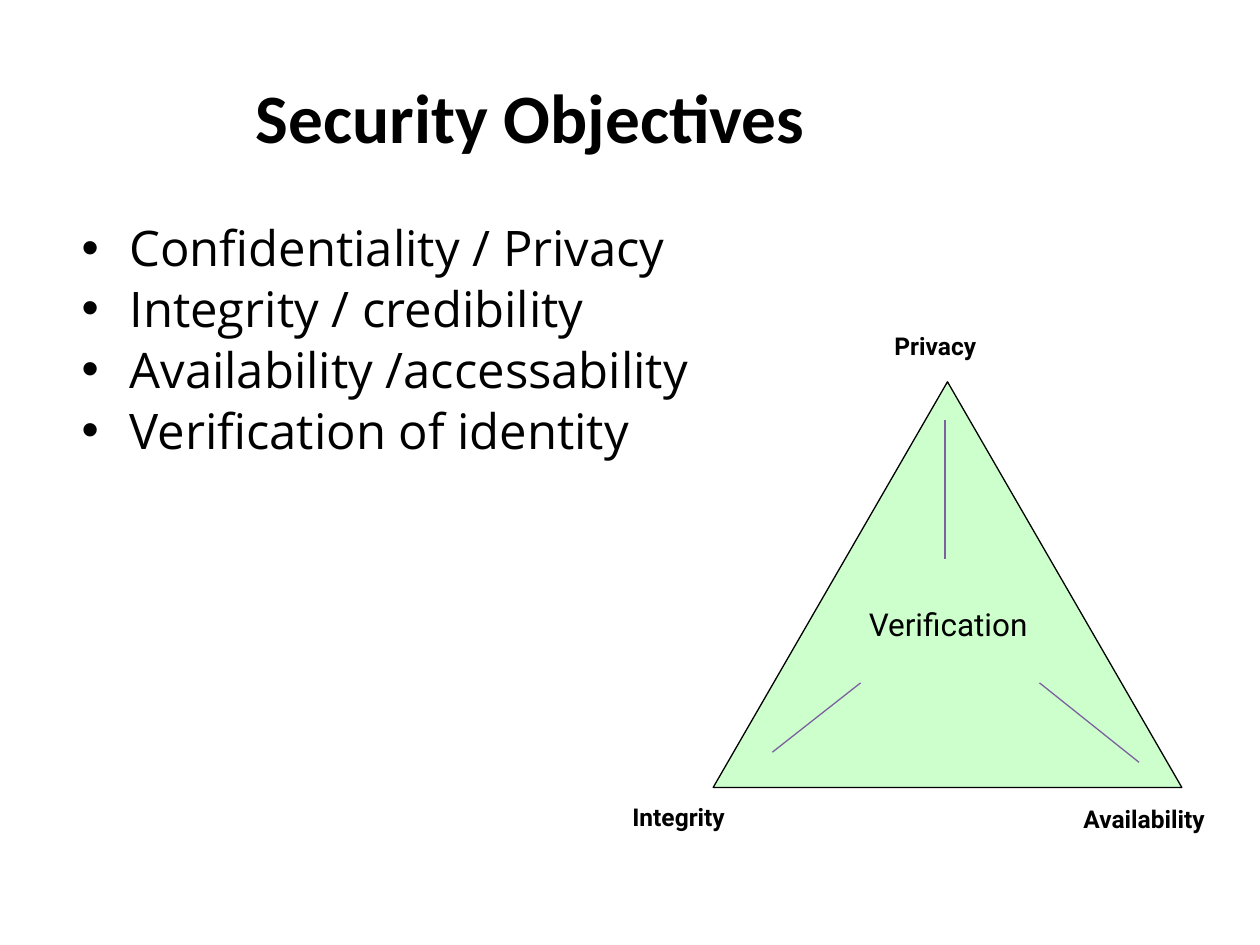
from dataclasses import dataclass

from lxml import etree
from pptx import Presentation
from pptx.dml.color import RGBColor
from pptx.enum.shapes import MSO_CONNECTOR, MSO_SHAPE
from pptx.enum.text import MSO_ANCHOR, MSO_AUTO_SIZE, PP_ALIGN
from pptx.oxml.ns import qn
from pptx.util import Inches, Pt

LEFT, CENTER = PP_ALIGN.LEFT, PP_ALIGN.CENTER
MIDDLE, TOP = MSO_ANCHOR.MIDDLE, MSO_ANCHOR.TOP
GROW, FIXED = MSO_AUTO_SIZE.SHAPE_TO_FIT_TEXT, MSO_AUTO_SIZE.NONE
STRAIGHT, TRIANGLE = MSO_CONNECTOR.STRAIGHT, MSO_SHAPE.ISOSCELES_TRIANGLE

BLACK = RGBColor(0x00, 0x00, 0x00)
GREEN = RGBColor(0xCC, 0xFF, 0xCC)
PURPLE = RGBColor(0x7D, 0x60, 0xA0)
INDENT = Inches(0.38)
THIN = Pt(0.75)


@dataclass
class Label:
    text: str
    box: tuple[float, float, float, float]
    size: float = 14
    bold: bool = True
    wrap: bool = False
    align: PP_ALIGN = LEFT


@dataclass
class Spoke:
    start: tuple[float, float]
    end: tuple[float, float]


GOALS = ("Confidentiality / Privacy", "Integrity / credibility",
         "Availability /accessability", "Verification of identity")
LABELS = (
    Label("Privacy", (7, 2.58, 0.93, 0.34)),
    Label("Integrity", (4.92, 6.32, 1.08, 0.34)),
    Label("Availability", (8.5, 6.33, 1.3, 0.34)),
    Label("Verification", (6.5, 4.75, 2.05, 0.4), 18, False, True, CENTER),
)
SPOKES = (
    Spoke((7.5, 3.33), (7.5, 4.44)),
    Spoke((6.83, 5.42), (6.13, 5.97)),
    Spoke((8.25, 5.42), (9.04, 6.05)),
)


def inches(*sizes: float) -> list[int]:
    return [Inches(size) for size in sizes]


def add_run(para, text: str, font: str, size: float, bold: bool = False) -> None:
    run = para.add_run()
    run.text = text
    run.font.name = font
    run.font.size = Pt(size)
    run.font.bold = bold
    run.font.color.rgb = BLACK


def add_bullet(para) -> None:
    props = para._p.get_or_add_pPr()
    props.set("marL", str(INDENT))
    props.set("indent", str(-INDENT))
    etree.SubElement(props, qn("a:buFont")).set("typeface", "Arial")
    etree.SubElement(props, qn("a:buChar")).set("char", "•")


def add_label(group, label: Label) -> None:
    frame = group.shapes.add_textbox(*inches(*label.box)).text_frame
    frame.word_wrap = label.wrap
    frame.auto_size = GROW
    para = frame.paragraphs[0]
    para.alignment = label.align
    add_run(para, label.text, "Roboto", label.size, label.bold)


def add_spoke(group, spoke: Spoke) -> None:
    line = group.shapes.add_connector(STRAIGHT, *inches(*spoke.start, *spoke.end))
    line.line.color.rgb = PURPLE
    line.line.width = THIN
    etree.SubElement(line._element.spPr, qn("a:effectLst"))


deck = Presentation()
deck.slide_width, deck.slide_height = inches(10, 7.5)
slide = deck.slides.add_slide(deck.slide_layouts[5])

# Title
title = slide.shapes.title
title.left, title.top, title.width, title.height = inches(0.96, 0.52, 6.5, 0.79)
frame = title.text_frame
frame.auto_size = FIXED
frame.vertical_anchor = MIDDLE
frame.paragraphs[0].alignment = CENTER
add_run(frame.paragraphs[0], "Security Objectives", "Calibri", 39.6, True)

# Bulleted goals
frame = slide.shapes.add_textbox(*inches(0.55, 1.68, 5.13, 3.3)).text_frame
frame.word_wrap = True
frame.vertical_anchor = TOP
for index, goal in enumerate(GOALS):
    para = frame.add_paragraph() if index else frame.paragraphs[0]
    para.space_before = Pt(1.1)
    add_bullet(para)
    add_run(para, goal, "Open Sans", 28)

# Triangle with its labels and spokes
group = slide.shapes.add_group_shape()
shape = group.shapes.add_shape(TRIANGLE, *inches(5.66, 3.03, 3.72, 3.22))
shape.shadow.inherit = False
shape.fill.solid()
shape.fill.fore_color.rgb = GREEN
shape.line.color.rgb = BLACK
shape.line.width = THIN
for label in LABELS:
    add_label(group, label)
for spoke in SPOKES:
    add_spoke(group, spoke)

deck.save("out.pptx")
